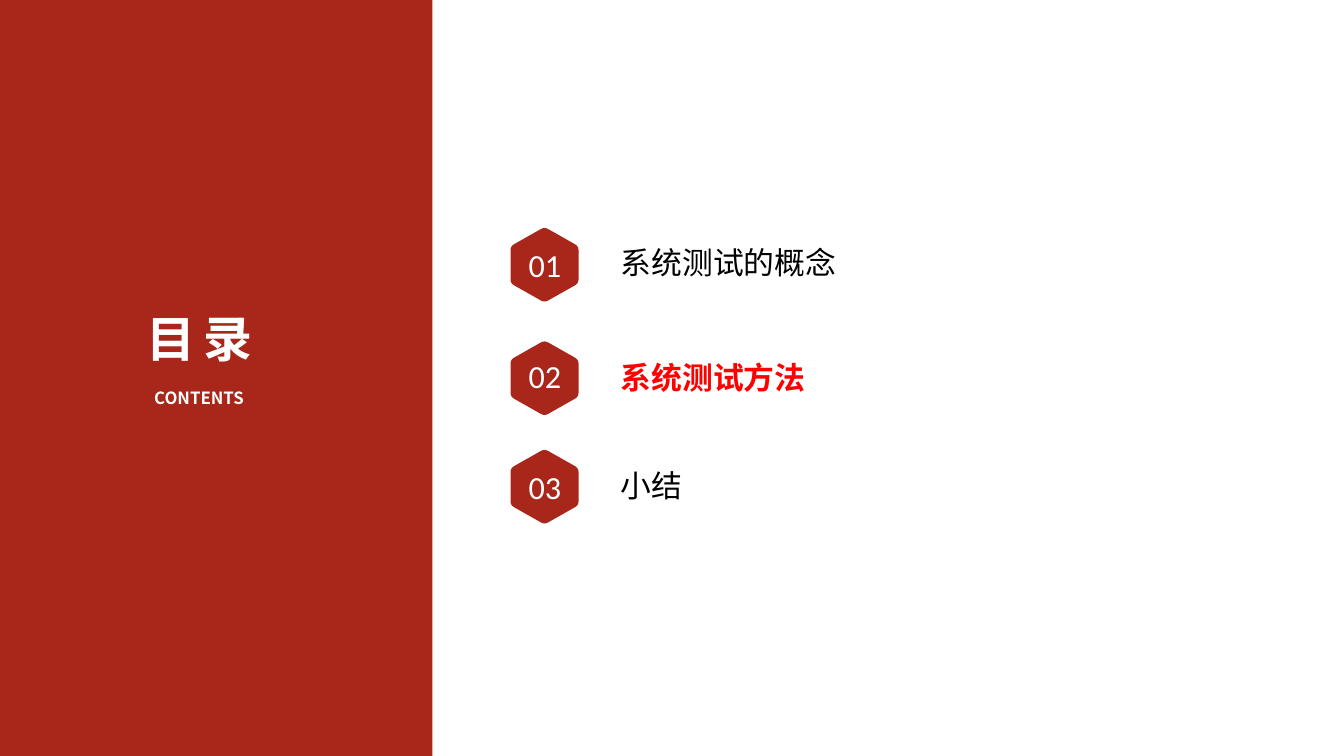
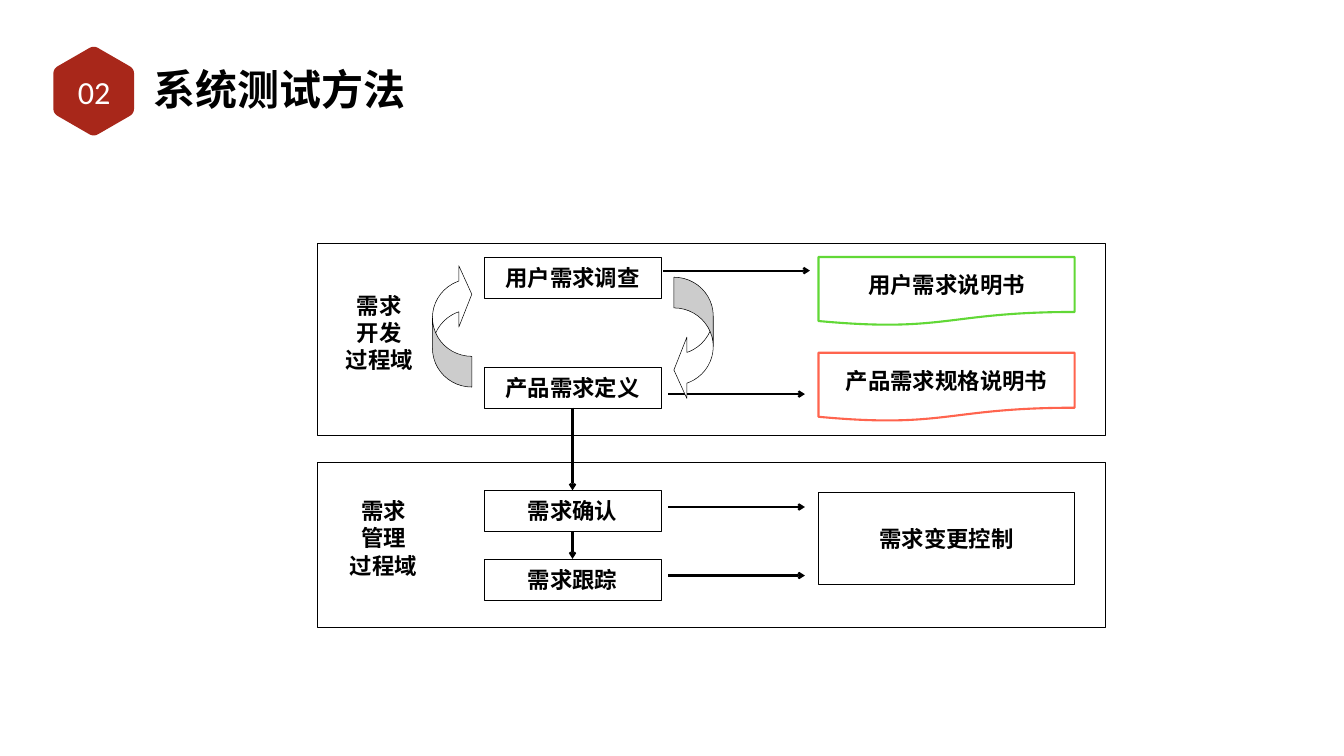
from lxml import etree
from pptx import Presentation
from pptx.dml.color import RGBColor
from pptx.enum import shapes, text
from pptx.oxml import ns
from pptx.util import Pt

BRICK = RGBColor(0xA8, 0x27, 0x1A)
WHITE = RGBColor(0xFF, 0xFF, 0xFF)
BLACK = RGBColor(0, 0, 0)
RED = RGBColor(0xFF, 0, 0)
GREEN = RGBColor(0x61, 0xD8, 0x36)
CORAL = RGBColor(0xFF, 0x64, 0x4E)
CJK = "Noto Sans CJK SC"
LATIN = "Calibri"
CENTER = text.PP_ALIGN.CENTER
MIDDLE = text.MSO_ANCHOR.MIDDLE
TOP = text.MSO_ANCHOR.TOP
PRESET = shapes.MSO_SHAPE

WIDTH, HEIGHT = 1920, 1080
STEP_LEFT, STEP_WIDTH, STEP_HEIGHT = 238.3, 253.4, 59
OUTPUT_LEFT, OUTPUT_WIDTH = 716.4, 365.8
CYCLE_SIZE = (56.2, 176.4)
HEXAGON = [(0, 0.25), (0.5, -0.01), (1, 0.25), (1, 0.75), (0.5, 1.01), (0, 0.75)]
ROUNDING = 0.11


def write(frame, lines, size, color=BLACK, bold=False, font=CJK, align=CENTER,
          anchor=MIDDLE, inset=None, tracking=None, leading=None):
    """Fill a text frame with one paragraph per line."""
    layout = {"word_wrap": True, "vertical_anchor": anchor}
    if inset is not None:
        layout.update({f"margin_{side}": Pt(inset) for side in ("left", "right", "top", "bottom")})
    for name, value in layout.items():
        setattr(frame, name, value)
    for index, line in enumerate(lines.split("\n")):
        paragraph = frame.paragraphs[0] if index == 0 else frame.add_paragraph()
        paragraph.alignment = align
        if leading:
            paragraph.line_spacing = Pt(leading)
        run = paragraph.add_run()
        run.text = line
        for name, value in {"size": Pt(size), "bold": bold, "name": font}.items():
            setattr(run.font, name, value)
        run.font.color.rgb = color
        properties = run._r.get_or_add_rPr()
        etree.SubElement(properties, ns.qn("a:ea"), typeface=font)
        if tracking:
            properties.set("spc", str(round(tracking * 100)))


def add_text(slide, box, lines, size, **style):
    """Add a text box with narrow margins."""
    frame = slide.shapes.add_textbox(*map(Pt, box)).text_frame
    write(frame, lines, size, **{"inset": 3.6, **style})


def paint(shape, fill, line=None, weight=0.75):
    """Give a shape its fill and outline without a shadow."""
    shape.shadow.inherit = False
    shape.fill.solid()
    shape.fill.fore_color.rgb = fill
    if line is None:
        shape.line.fill.background()
    else:
        shape.line.color.rgb = line
        shape.line.width = Pt(weight)


def add_block(slide, box, label="", preset=PRESET.RECTANGLE, fill=WHITE, line=BLACK,
              weight=0.75, leading=None):
    """Add a preset shape with an optional bold label."""
    block = slide.shapes.add_shape(preset, *map(Pt, box))
    paint(block, fill, line, weight)
    if label:
        write(block.text_frame, label, 32, bold=True, leading=leading)
    return block


def add_hexagon(slide, left, top, width, height):
    """Add a brick hexagon whose corners are rounded by quadratic curves."""
    outline = []
    for index, corner in enumerate(HEXAGON):
        neighbours = HEXAGON[index - 1], HEXAGON[(index + 1) % len(HEXAGON)]
        before, after = [
            [c + (n - c) * ROUNDING for c, n in zip(corner, neighbour)]
            for neighbour in neighbours
        ]
        for step in range(7):
            t = step / 6
            x, y = [(1 - t) ** 2 * b + 2 * t * (1 - t) * c + t * t * a
                    for b, c, a in zip(before, corner, after)]
            outline.append((Pt(left + x * width), Pt(top + y * height)))
    builder = slide.shapes.build_freeform(*outline[0])
    builder.add_line_segments(outline[1:], close=True)
    paint(builder.convert_to_shape(), BRICK)


def add_number(slide, left, top, number):
    """Write a section number over its hexagon."""
    add_text(slide, (left, top, 125.3, 75.6), number, 46, color=WHITE, font=LATIN)


def add_arrow(slide, start, end):
    """Draw a straight arrow between two points."""
    arrow = slide.shapes.add_connector(shapes.MSO_CONNECTOR.STRAIGHT, *map(Pt, start + end))
    arrow.line.color.rgb = BLACK
    arrow.line.width = Pt(3)
    etree.SubElement(arrow.line._get_or_add_ln(), ns.qn("a:tailEnd"), type="arrow")
    etree.SubElement(arrow._element.spPr, ns.qn("a:effectLst"))


def add_contents_panel(slide, left, top, width, height):
    """Draw the brick side panel with its heading."""
    add_block(slide, (left, top, width, height), fill=BRICK, line=None)
    heading = {"color": WHITE, "bold": True, "anchor": TOP}
    add_text(slide, (left + 134.6, top + 550, 299.5, 71.3), "CONTENTS", 24, **heading)
    add_text(slide, (left + 80.6, top + 437.8, 409, 205.2), "目录", 70, tracking=11.7, **heading)


def add_contents_list(slide, left, top):
    """List the sections, with the current one in red."""
    sections = [
        ("系统测试的概念", 0, 19.5, {}),
        ("系统测试方法", 162, 182.9, {"color": RED, "bold": True}),
        ("小结", 317, 338.4, {}),
    ]
    for index, (name, hexagon_top, name_top, emphasis) in enumerate(sections):
        add_text(slide, (left + 167.4, top + name_top, 440, 60), name, 44,
                 align=text.PP_ALIGN.LEFT, anchor=TOP, **emphasis)
        add_hexagon(slide, left + 13.6, top + hexagon_top, 97.2, 105.8)
        add_number(slide, left, top + 15.2 + 158.4 * index, f"{index + 1:02d}")


def add_section_title(slide, left, top, number, title):
    """Draw the numbered hexagon and the slide title."""
    add_hexagon(slide, left, top, 115.2, 127.8)
    add_text(slide, (left + 139, top + 18.7, 433.4, 82), title, 60, bold=True,
             align=text.PP_ALIGN.LEFT, inset=4.3)
    add_number(slide, left - 4.3, top + 26.6, number)


def add_process_area(slide, left, top, width, height, title, title_box, steps, outputs, flows):
    """Frame one process area with its title, steps, outputs and arrows."""
    add_block(slide, (left, top, width, height))
    x, y, title_width, title_height = title_box
    add_block(slide, (left + x, top + y, title_width, title_height), title, line=None, leading=38.6)
    for label, y in steps:
        add_block(slide, (left + STEP_LEFT, top + y, STEP_WIDTH, STEP_HEIGHT), label)
    for label, y, output_height, style in outputs:
        add_block(slide, (left + OUTPUT_LEFT, top + y, OUTPUT_WIDTH, output_height), label, **style)
    for start, end, y in flows:
        add_arrow(slide, (left + start, top + y), (left + end, top + y))


def add_cycle(slide, left, top):
    """Draw the two curved arrows that loop between the development steps."""
    for x, y, rotation in [(164.9, 29.5, 180), (509.8, 49, 0)]:
        curve = add_block(slide, (left + x, top + y, *CYCLE_SIZE), preset=PRESET.CURVED_LEFT_ARROW)
        curve.rotation = rotation
        for index, value in enumerate((0.78, 1.56, 0.33)):
            curve.adjustments[index] = value


def add_requirements_diagram(slide, left, top, width):
    """Stack the two process areas and join their steps."""
    document = {"preset": PRESET.FLOWCHART_DOCUMENT, "weight": 3}
    add_process_area(
        slide, left, top, width, 274.3, "需求\n开发\n过程域", (22.3, 39.6, 133.2, 176.4),
        [("用户需求调查", 20.2), ("产品需求定义", 177.1)],
        [("用户需求说明书", 20.2, 97.9, {**document, "line": GREEN}),
         ("产品需求规格说明书", 157, 97.9, {**document, "line": CORAL})],
        [(494.6, 704.2, 39.6), (501.8, 697, 216)])
    add_cycle(slide, left, top)
    add_process_area(
        slide, left, top + 313.9, width, 235.4, "需求\n管理\n过程域", (10.8, 19.4, 168.5, 176.4),
        [("需求确认", 39.6), ("需求跟踪", 137.5)],
        [("需求变更控制", 41.8, 132.5, {})],
        [(501.8, 697, 63.4), (501.8, 697, 161.3)])
    center = left + STEP_LEFT + STEP_WIDTH / 2
    for start, end in [(235.4, 353.5), (411.8, 451.4)]:
        add_arrow(slide, (center, top + start), (center, top + end))


def main():
    """Build both slides and save them."""
    deck = Presentation()
    deck.slide_width, deck.slide_height = Pt(WIDTH), Pt(HEIGHT)
    blank = deck.slide_layouts[6]

    contents = deck.slides.add_slide(blank)
    add_contents_panel(contents, 0, 0, 617.8, HEIGHT)
    add_contents_list(contents, 715.7, 325.4)

    methods = deck.slides.add_slide(blank)
    add_section_title(methods, 76.3, 66.3, "02", "系统测试方法")
    add_requirements_diagram(methods, 452.9, 347, 1125.4)

    deck.save("out.pptx")


if __name__ == "__main__":
    main()
